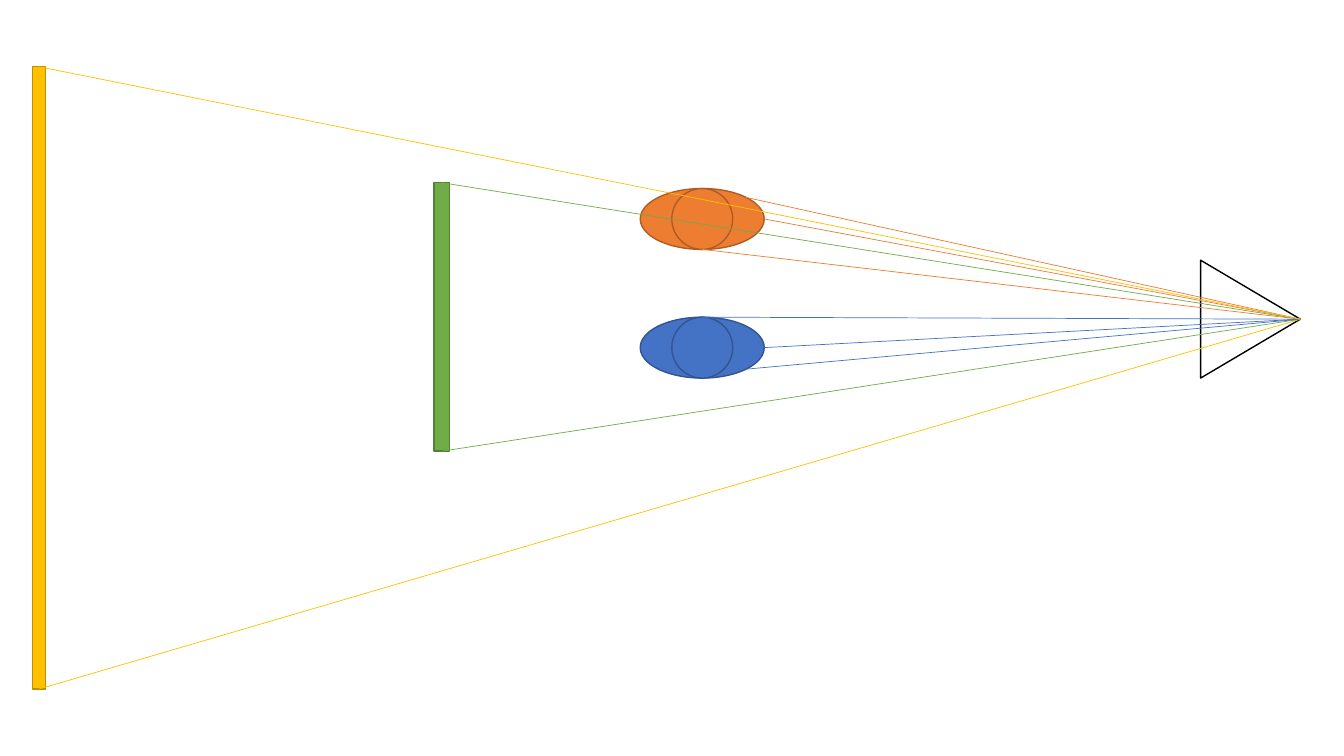
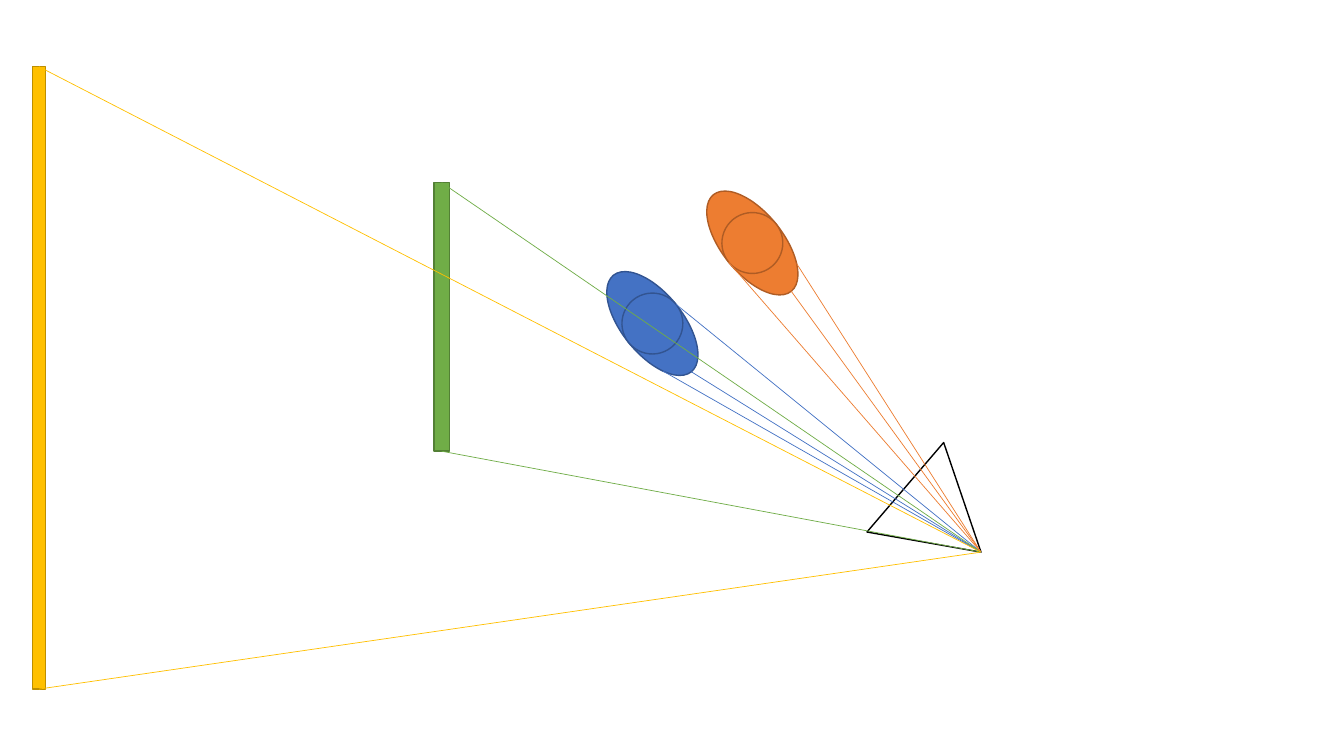
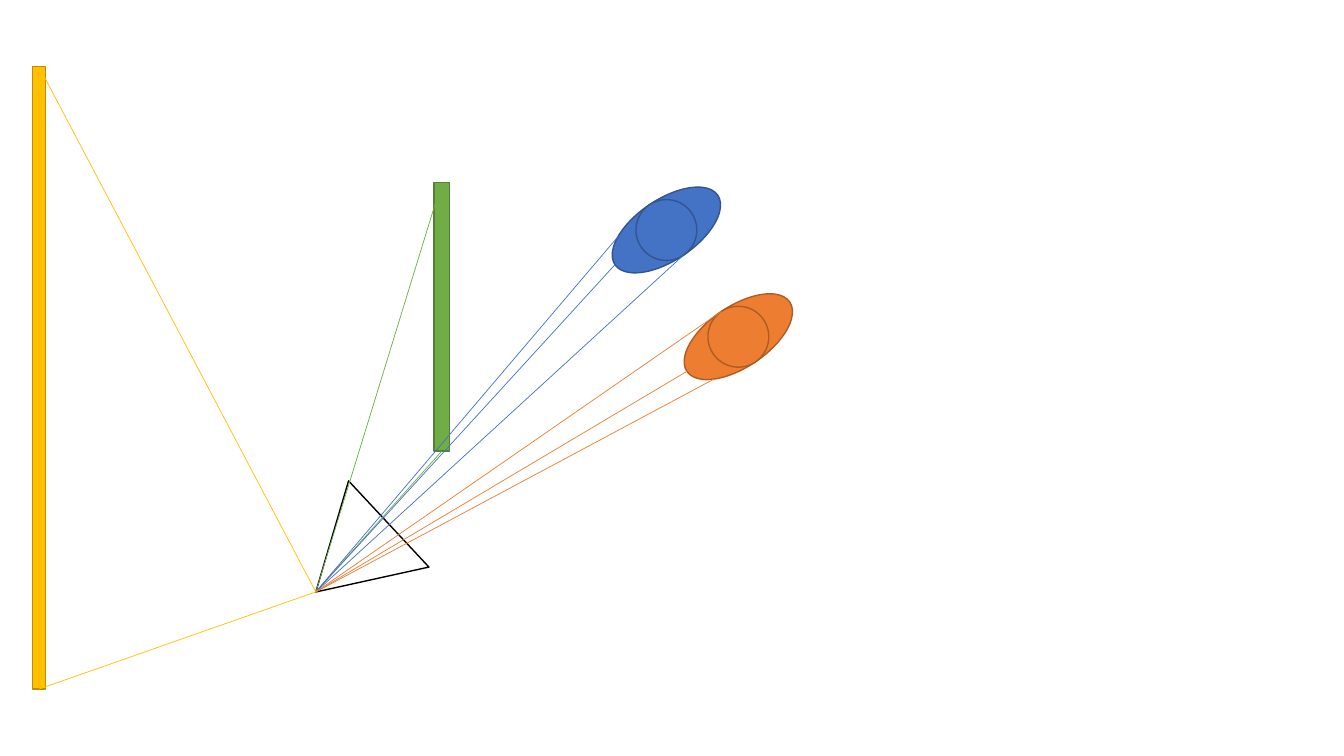
from dataclasses import dataclass
from math import cos, radians, sin

from lxml import etree
from pptx import Presentation
from pptx.dml.color import RGBColor
from pptx.enum.shapes import MSO_CONNECTOR, MSO_SHAPE
from pptx.oxml.ns import qn
from pptx.util import Pt

ELLIPSE = MSO_SHAPE.OVAL
RECTANGLE = MSO_SHAPE.RECTANGLE
TRIANGLE = MSO_SHAPE.ISOSCELES_TRIANGLE
STRAIGHT = MSO_CONNECTOR.STRAIGHT
TOP, BOTTOM = 0, 2
BLANK_LAYOUT = 6


@dataclass(frozen=True)
class Theme:
    """Each colour pair is (fill, outline)."""
    blue: tuple = ("4472C4", "325491")
    orange: tuple = ("ED7D31", "AF5C24")
    green: tuple = ("70AD47", "538035")
    yellow: tuple = ("FFC000", "BD8E00")
    eye: tuple = (None, "000000")
    outline_width: float = 1
    ray_width: float = 0.5


THEME = Theme()
SLIDE_SIZE = (960, 540)
BODY_SIZE = (88.6, 43.5)
HEAD_SIZE = (43.5, 43.5)
EYE_BASE, EYE_DEPTH = 84.2, 71.2
NEAR_WALL = (310, 130.5, 11, 191.8)
FAR_WALL = (23.2, 47.7, 9.4, 444.5)

# Angles on the body outline, before rotation, where the rays leave
BLUE_RAYS = (45, 0, -90)
ORANGE_RAYS = (90, -45, 0)

# Centres of the people, their rotation, apex of the eye and its rotation
VIEWS = (
    dict(blue=(501.6, 248.3), orange=(501.6, 156.4), turn=0,
         apex=(928.8, 228), gaze=90),
    dict(blue=(466, 231.1), orange=(537.4, 173.6), turn=51.1,
         apex=(700.7, 394.4), gaze=130.6),
    dict(blue=(476, 164.3), orange=(527.4, 240.5), turn=146,
         apex=(225.6, 422.8), gaze=227),
)


def rotate(x, y, degrees):
    angle = radians(degrees)
    return x * cos(angle) - y * sin(angle), x * sin(angle) + y * cos(angle)


def outline_point(center, degrees, turn):
    """Point on the outline of a body rotated by turn."""
    x = BODY_SIZE[0] / 2 * cos(radians(degrees))
    y = BODY_SIZE[1] / 2 * sin(radians(degrees))
    dx, dy = rotate(x, y, turn)
    return center[0] + dx, center[1] + dy


class Scene:
    def __init__(self, presentation, theme):
        self.presentation = presentation
        self.theme = theme
        self.slide = None

    def new_slide(self):
        layout = self.presentation.slide_layouts[BLANK_LAYOUT]
        self.slide = self.presentation.slides.add_slide(layout)

    def shape(self, kind, box, colors, rotation=0, parent=None):
        shapes = (parent or self.slide).shapes
        shape = shapes.add_shape(kind, *(Pt(length) for length in box))
        fill, outline = colors
        if fill:
            shape.fill.solid()
            shape.fill.fore_color.rgb = RGBColor.from_string(fill)
        else:
            shape.fill.background()
        shape.line.color.rgb = RGBColor.from_string(outline)
        shape.line.width = Pt(self.theme.outline_width)
        shape.shadow.inherit = False
        shape.rotation = rotation
        return shape

    def person(self, center, colors, turn):
        group = self.slide.shapes.add_group_shape()
        for width, height in (BODY_SIZE, HEAD_SIZE):
            box = (center[0] - width / 2, center[1] - height / 2, width, height)
            self.shape(ELLIPSE, box, colors, turn, group)

    def eye(self, apex, gaze):
        dx, dy = rotate(0, -EYE_DEPTH / 2, gaze)
        left = apex[0] - dx - EYE_BASE / 2
        top = apex[1] - dy - EYE_DEPTH / 2
        self.shape(TRIANGLE, (left, top, EYE_BASE, EYE_DEPTH),
                   self.theme.eye, gaze)

    def ray(self, start, end, colors):
        ray = self.slide.shapes.add_connector(
            STRAIGHT, *(Pt(length) for length in (*start, *end)))
        ray.line.color.rgb = RGBColor.from_string(colors[0])
        ray.line.width = Pt(self.theme.ray_width)
        etree.SubElement(ray._element.spPr, qn("a:effectLst"))
        return ray

    def wall_ray(self, wall, side, end, colors):
        self.ray(end, end, colors).begin_connect(wall, side)

    def person_rays(self, center, angles, turn, end, colors):
        for degrees in angles:
            self.ray(outline_point(center, degrees, turn), end, colors)


def draw_view(scene, blue, orange, turn, apex, gaze):
    theme = scene.theme
    scene.new_slide()
    scene.person(blue, theme.blue, turn)
    scene.person(orange, theme.orange, turn)
    near_wall = scene.shape(RECTANGLE, NEAR_WALL, theme.green)
    far_wall = scene.shape(RECTANGLE, FAR_WALL, theme.yellow)
    scene.eye(apex, gaze)

    scene.wall_ray(far_wall, BOTTOM, apex, theme.yellow)
    scene.wall_ray(near_wall, BOTTOM, apex, theme.green)
    scene.person_rays(blue, BLUE_RAYS, turn, apex, theme.blue)
    scene.person_rays(orange, ORANGE_RAYS, turn, apex, theme.orange)
    scene.wall_ray(near_wall, TOP, apex, theme.green)
    scene.wall_ray(far_wall, TOP, apex, theme.yellow)


def main():
    presentation = Presentation()
    presentation.slide_width, presentation.slide_height = map(Pt, SLIDE_SIZE)
    scene = Scene(presentation, THEME)
    for view in VIEWS:
        draw_view(scene, **view)
    presentation.save("out.pptx")


if __name__ == "__main__":
    main()
